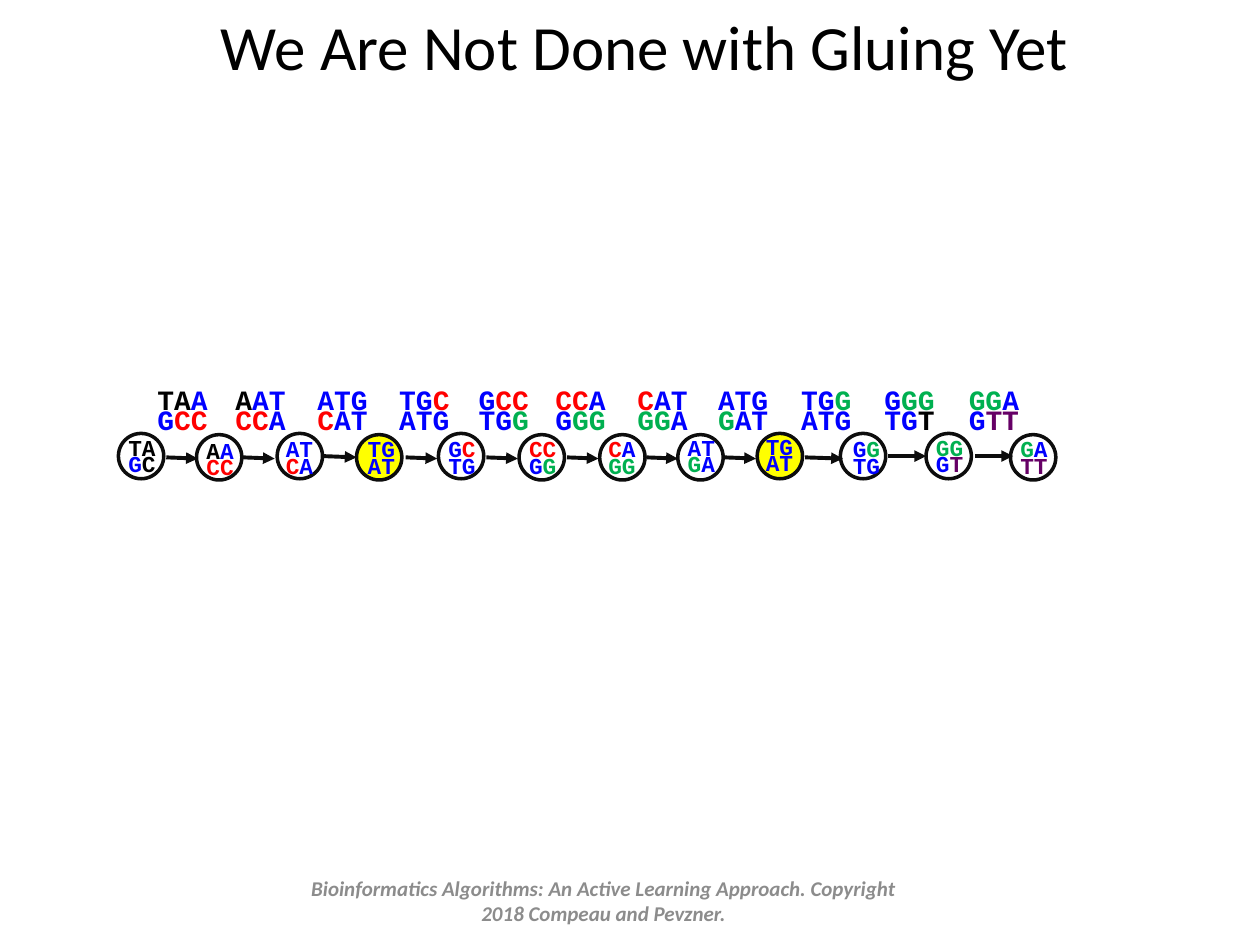
from itertools import groupby

from lxml import etree
from pptx import Presentation
from pptx.dml.color import RGBColor
from pptx.enum.shapes import MSO_CONNECTOR, MSO_SHAPE
from pptx.enum.text import MSO_ANCHOR, MSO_AUTO_SIZE, PP_ALIGN
from pptx.oxml.ns import qn
from pptx.util import Pt

PX = 9144  # 100 px to the inch
COLORS = {
    "k": "000000", "b": "0000FF", "r": "FF0000", "g": "00B050", "p": "660066",
    "ink": "0D0D0D", "highlight": "FFFF00", "footer": "8C8C8C",
}
CIRCLE = 36

# Circle left and top, label offset from the circle, lines, a colour key per letter
NODES = [
    (0, 0, -2, 3, "TA GC", "kk bk"),
    (62, 1, -2, 4, "AA CC", "kb rr"),
    (126, 0, -3, 4, "AT CA", "bb rb"),
    (189, 1, -1, 3, "TG AT", "bb bb"),
    (254, 0, -2, 4, "GC TG", "br bb"),
    (318, 1, -2, 3, "CC GG", "rr bg"),
    (382, 1, -3, 3, "CA GG", "rb gg"),
    (444, 1, -2, 2, "AT GA", "bb gb"),
    (507, 0, -3, 2, "TG AT", "bb bb"),
    (573, 0, 0, 4, "GG TG", "bg bb"),
    (641, 0, -2, 3, "GG GT", "gg bp"),
    (708, 1, -2, 3, "GA TT", "gb pp"),
]
REPEATED = "TG AT"

# Arrow start x, end x, start y, end y
ARROWS = [
    (38, 63, 19, 20), (99, 124, 19, 20), (162, 189, 18, 19), (228, 253, 19, 20),
    (292, 317, 19, 20), (356, 381, 19, 20), (419, 444, 19, 20), (481, 506, 19, 20),
    (545, 575, 19, 20), (611, 641, 18, 18), (680, 710, 18, 18),
]

# Label left, lines, a colour key per letter
EDGES = [
    (0, "TAA GCC", "kkb brr"),
    (62, "AAT CCA", "kbb rrb"),
    (127, "ATG CAT", "bbb rbb"),
    (192, "TGC ATG", "bbr bbb"),
    (255, "GCC TGG", "brr bbg"),
    (316, "CCA GGG", "rrb bgg"),
    (381, "CAT GGA", "rbb ggb"),
    (445, "ATG GAT", "bbb gbb"),
    (511, "TGG ATG", "bbg bbb"),
    (577, "GGG TGT", "bgg bbk"),
    (644, "GGA GTT", "ggb bpp"),
]


def rgb(key):
    return RGBColor.from_string(COLORS[key])


def add_text(shapes, box, lines, size, font="Calibri", bold=False, italic=False,
             align=PP_ALIGN.LEFT, anchor=MSO_ANCHOR.TOP, spacing=None,
             wrap=True, grow=True):
    """Each line is a list of (text, colour key) runs."""
    frame = shapes.add_textbox(*(v * PX for v in box)).text_frame
    frame.word_wrap = wrap
    frame.auto_size = MSO_AUTO_SIZE.SHAPE_TO_FIT_TEXT if grow else MSO_AUTO_SIZE.NONE
    frame.vertical_anchor = anchor
    for i, line in enumerate(lines):
        paragraph = frame.paragraphs[0] if i == 0 else frame.add_paragraph()
        paragraph.alignment = align
        paragraph.line_spacing = spacing
        for text, color in line:
            run = paragraph.add_run()
            run.text = text
            run.font.name = font
            run.font.size = Pt(size)
            run.font.bold = bold
            run.font.italic = italic
            run.font.color.rgb = rgb(color)


def add_kmer_pair(shapes, box, letters, keys, size):
    """Two stacked k-mers, coloured letter by letter."""
    lines = []
    for word, colors in zip(letters.split(), keys.split()):
        runs = groupby(zip(word, colors), key=lambda pair: pair[1])
        lines.append([("".join(c for c, _ in run), color) for color, run in runs])
    add_text(shapes, box, lines, size, font="Courier New", bold=True,
             spacing=0.6, wrap=False)


def add_arrow(shapes, x1, y1, x2, y2):
    arrow = shapes.add_connector(
        MSO_CONNECTOR.STRAIGHT, *(v * PX for v in (x1, y1, x2, y2)))
    arrow.line.color.rgb = rgb("ink")
    arrow.line.width = Pt(2.25)
    etree.SubElement(arrow.line._get_or_add_ln(), qn("a:tailEnd"), type="triangle")
    etree.SubElement(arrow._element.spPr, qn("a:effectLst"))


def add_circle(shapes, x, y, highlighted):
    circle = shapes.add_shape(
        MSO_SHAPE.OVAL, x * PX, y * PX, CIRCLE * PX, CIRCLE * PX)
    circle.shadow.inherit = False
    circle.line.color.rgb = rgb("ink")
    circle.line.width = Pt(2)
    if highlighted:
        circle.fill.solid()
        circle.fill.fore_color.rgb = rgb("highlight")
    else:
        circle.fill.background()


def add_path(slide, left, top):
    """Chain of nodes joined by arrows."""
    shapes = slide.shapes.add_group_shape().shapes
    for x1, x2, y1, y2 in ARROWS:
        add_arrow(shapes, left + x1, top + y1, left + x2, top + y2)
    for x, y, dx, dy, letters, keys in NODES:
        add_circle(shapes, left + x, top + y, letters == REPEATED)
        add_kmer_pair(shapes, (left + x + dx, top + y + dy, 42, 36),
                      letters, keys, 13)


def add_edge_labels(slide, left, top):
    """Row of labels above the arrows."""
    shapes = slide.shapes.add_group_shape().shapes
    for x, letters, keys in EDGES:
        add_kmer_pair(shapes, (left + x, top, 61, 42), letters, keys, 16)


def add_title(slide, box):
    add_text(slide.shapes, box, [[("We Are Not Done with Gluing Yet", "k")]], 36,
             align=PP_ALIGN.CENTER)


def add_footer(slide, box):
    notice = ("Bioinformatics Algorithms: An Active Learning Approach. "
              "Copyright 2018 Compeau and Pevzner.")
    add_text(slide.shapes, box, [[(notice, "footer")]], 12, bold=True, italic=True,
             align=PP_ALIGN.CENTER, anchor=MSO_ANCHOR.MIDDLE, grow=False)


def main():
    deck = Presentation()
    deck.slide_width, deck.slide_height = 1000 * PX, 750 * PX
    slide = deck.slides.add_slide(deck.slide_layouts[6])
    add_title(slide, (7, 1, 1009, 71))
    add_path(slide, 94, 344)
    add_edge_labels(slide, 115, 308)
    add_footer(slide, (225, 695, 508, 40))
    deck.save("out.pptx")


if __name__ == "__main__":
    main()
